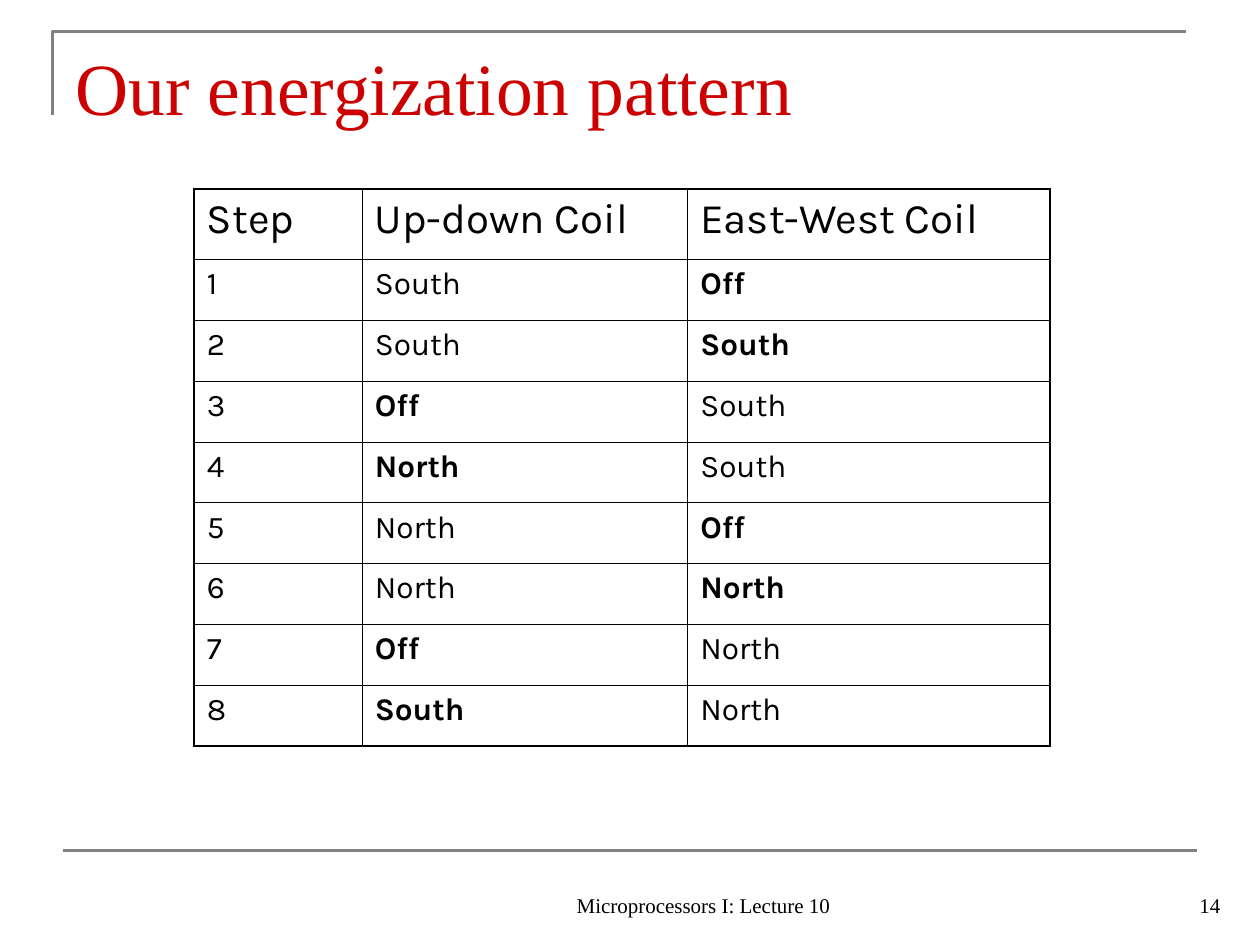
from dataclasses import dataclass

from lxml import etree
from pptx import Presentation
from pptx.dml.color import RGBColor
from pptx.enum.shapes import MSO_CONNECTOR
from pptx.enum.text import MSO_ANCHOR as ANCHOR, PP_ALIGN as ALIGN
from pptx.oxml.ns import qn
from pptx.util import Pt


@dataclass(frozen=True)
class Theme:
    ink = RGBColor(0, 0, 0)
    title = RGBColor(0xCC, 0, 0)
    rule = RGBColor(0x80, 0x80, 0x80)
    serif = "Times New Roman"
    sans = "Karla"
    title_size = 42
    head_size = 24
    body_size = 18
    footer_size = 12
    rule_width = 1.5
    outer_border = 1.08
    inner_border = 0.45


def add_text(text, box, size, color, align):
    """Add a one-line serif text box resting on its bottom edge."""
    tf = s.shapes.add_textbox(*map(Pt, box)).text_frame
    tf.word_wrap = True
    tf.vertical_anchor = ANCHOR.BOTTOM
    p = tf.paragraphs[0]
    p.text = text
    p.alignment = align
    font = p.runs[0].font
    font.name, font.size, font.color.rgb = Theme.serif, Pt(size), color


def set_borders(cell, widths):
    """Draw black left, right, top and bottom borders of the given widths."""
    tc_pr = cell.fill._xPr
    for i, (side, width) in enumerate(zip("LRTB", widths)):
        ln = etree.Element(qn(f"a:ln{side}"), w=str(Pt(width)))
        fill = etree.SubElement(ln, qn("a:solidFill"))
        etree.SubElement(fill, qn("a:srgbClr"), val=str(Theme.ink))
        tc_pr.insert(i, ln)


prs = Presentation()
prs.slide_width, prs.slide_height = Pt(720), Pt(540)
s = prs.slides.add_slide(prs.slide_layouts[6])

# Frame lines
builder = s.shapes.build_freeform(Pt(30), Pt(66))
builder.add_line_segments([(Pt(30), Pt(18)), (Pt(678), Pt(18))], close=False)
corner = builder.convert_to_shape()
corner.shadow.inherit = False
corner.fill.background()
footer_rule = s.shapes.add_connector(
    MSO_CONNECTOR.STRAIGHT, Pt(36), Pt(486), Pt(684), Pt(486))
etree.SubElement(footer_rule._element.spPr, qn("a:effectLst"))
for sp in (corner, footer_rule):
    sp.line.color.rgb = Theme.rule
    sp.line.width = Pt(Theme.rule_width)

# Footer and title
add_text("Microprocessors I: Lecture 10", (288, 492, 228, 36),
         Theme.footer_size, Theme.ink, ALIGN.CENTER)
add_text("14", (554.4, 492, 150, 36), Theme.footer_size, Theme.ink, ALIGN.RIGHT)
add_text("Our energization pattern", (36, 16.5, 668, 61.5),
         Theme.title_size, Theme.title, ALIGN.LEFT)

# Energization table
header = ("Step", "Up-down Coil", "East-West Coil")
coils = [
    ("South", "Off"),
    ("South", "South"),
    ("Off", "South"),
    ("North", "South"),
    ("North", "Off"),
    ("North", "North"),
    ("Off", "North"),
    ("South", "North"),
]
rows = [header] + [(str(n), *pair) for n, pair in enumerate(coils, 1)]
col_widths = (96, 186, 207)
row_heights = [40.4] + [34.75] * len(coils)

table = s.shapes.add_table(
    len(rows), len(header), Pt(111), Pt(108),
    Pt(sum(col_widths)), Pt(sum(row_heights))).table
table.first_row = table.horz_banding = False
for col, width in zip(table.columns, col_widths):
    col.width = Pt(width)
for row, height in zip(table.rows, row_heights):
    row.height = Pt(height)

last_row, last_col = len(rows) - 1, len(header) - 1
for i, values in enumerate(rows):
    for j, value in enumerate(values):
        cell = table.cell(i, j)
        cell.fill.background()
        on_edge = (j == 0, j == last_col, i == 0, i == last_row)
        set_borders(cell, [Theme.outer_border if edge else Theme.inner_border
                           for edge in on_edge])
        p = cell.text_frame.paragraphs[0]
        p.text = value
        p.space_before = Pt(6 if i == 0 else 4.5)
        font = p.runs[0].font
        font.name = Theme.sans
        font.size = Pt(Theme.head_size if i == 0 else Theme.body_size)
        font.color.rgb = Theme.ink
        # Bold marks a coil that changed since the previous step, in a cycle
        font.bold = i > 0 and j > 0 and value != coils[i - 2][j - 1]

prs.save("out.pptx")
